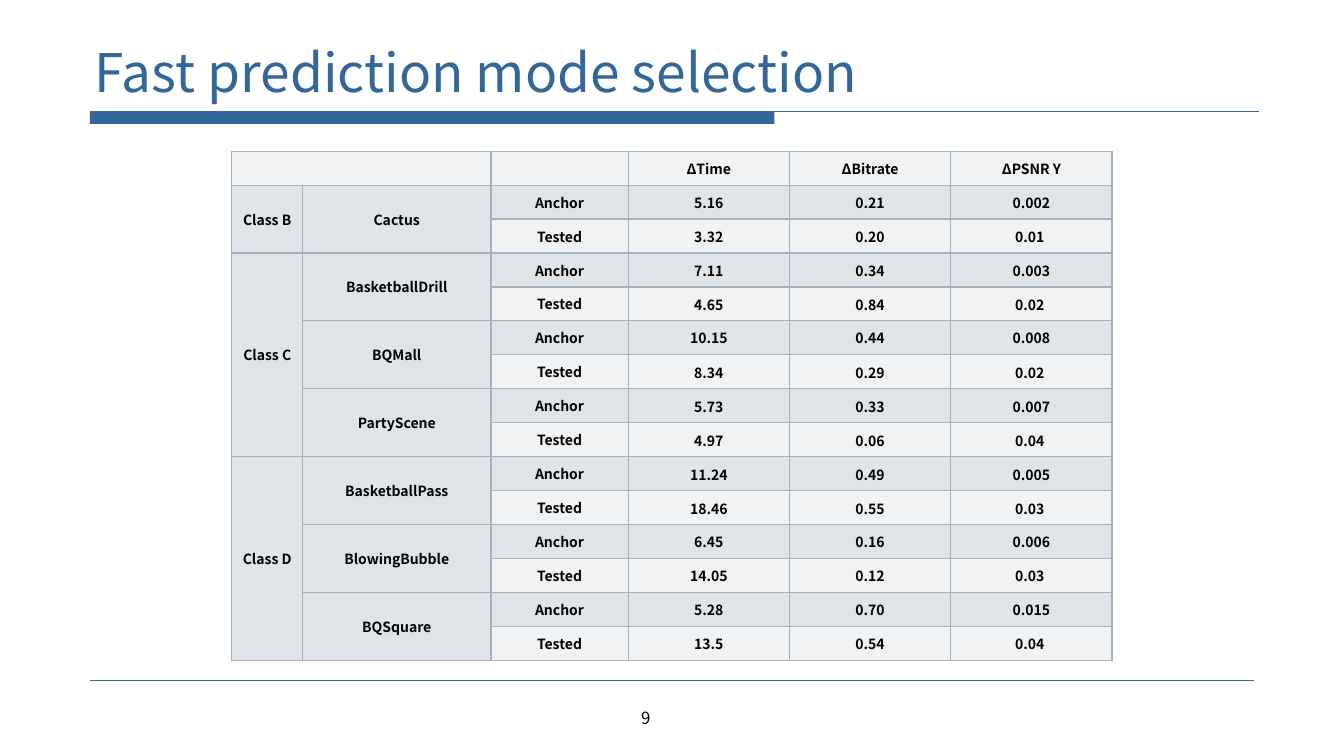
from lxml import etree
from pptx import Presentation
from pptx.dml.color import RGBColor
from pptx.enum.shapes import MSO_CONNECTOR, MSO_SHAPE
from pptx.enum.text import MSO_ANCHOR, PP_ALIGN
from pptx.oxml.ns import qn
from pptx.util import Inches, Pt

STRAIGHT = MSO_CONNECTOR.STRAIGHT
RECTANGLE = MSO_SHAPE.RECTANGLE
MIDDLE, BOTTOM, TOP = MSO_ANCHOR.MIDDLE, MSO_ANCHOR.BOTTOM, MSO_ANCHOR.TOP
CENTER = PP_ALIGN.CENTER
FONT = "Noto Sans CJK KR"
BLUE, BLACK, BORDER = "336699", "000000", "A3B2C1"
LIGHT, DARK = "F0F2F4", "E0E4E9"


def color(value):
    return RGBColor.from_string(value)


def style(para, size, value, bold=False):
    para.font.name = FONT
    para.font.size = Pt(size)
    para.font.bold = bold
    para.font.color.rgb = color(value)


deck = Presentation()
deck.slide_width, deck.slide_height = Inches(13.33), Inches(7.5)
page = deck.slides.add_slide(deck.slide_layouts[6])

bar = page.shapes.add_shape(RECTANGLE, Inches(0.89), Inches(1.11), Inches(6.79), Inches(0.12))
bar.shadow.inherit = False
bar.fill.solid()
bar.fill.fore_color.rgb = color(BLUE)
bar.line.fill.background()

for y, right, width in [(1.11, 12.49, 0.75), (6.75, 12.44, 0.25)]:
    rule = page.shapes.add_connector(STRAIGHT, Inches(0.89), Inches(y), Inches(right), Inches(y))
    rule.line.color.rgb = color(BLUE)
    rule.line.width = Pt(width)
    etree.SubElement(rule._element.spPr, qn("a:effectLst"))

for text, left, top, width, height, size, value, anchor in [
    ("9", 6.26, 6.97, 1.1, 0.52, 12, BLACK, TOP),
    ("Fast prediction mode selection", 0.84, 0.33, 11.67, 0.74, 38, BLUE, BOTTOM),
]:
    box = page.shapes.add_textbox(Inches(left), Inches(top), Inches(width), Inches(height))
    box.text_frame.word_wrap = True
    box.text_frame.vertical_anchor = anchor
    box.text_frame.text = text
    style(box.text_frame.paragraphs[0], size, value)

classes = [("Class B", 1), ("Class C", 3), ("Class D", 3)]
sequences = [
    ("Cactus", ["5.16", "0.21", "0.002"], ["3.32", "0.20", "0.01 "]),
    ("BasketballDrill", ["7.11", "0.34", "0.003"], ["4.65", "0.84", "0.02 "]),
    ("BQMall", ["10.15", "0.44", "0.008"], ["8.34", "0.29", "0.02 "]),
    ("PartyScene", ["5.73", "0.33", "0.007"], ["4.97", "0.06", "0.04 "]),
    ("BasketballPass", ["11.24", "0.49", "0.005"], ["18.46", "0.55", "0.03 "]),
    ("BlowingBubble", ["6.45", "0.16", "0.006"], ["14.05", "0.12", "0.03 "]),
    ("BQSquare", ["5.28", "0.70", "0.015"], ["13.5", "0.54", "0.04 "]),
]
rows = [["", "", "", "ΔTime", "ΔBitrate", "ΔPSNR Y"]]
for name, anchor_values, tested_values in sequences:
    rows.append(["", name, "Anchor"] + anchor_values)
    rows.append(["", "", "Tested"] + tested_values)

frame = page.shapes.add_table(len(rows), 6, Inches(2.3), Inches(1.5), Inches(8.73), Inches(5.05))
table = frame.table
table.first_row = table.horz_banding = False
for column, width in zip(table.columns, [0.7, 1.87, 1.36, 1.6, 1.6, 1.6]):
    column.width = Inches(width)

table.cell(0, 0).merge(table.cell(0, 1))
first = 1
for name, count in classes:
    rows[first][0] = name
    table.cell(first, 0).merge(table.cell(first + 2 * count - 1, 0))
    first += 2 * count
for first in range(1, len(rows), 2):
    table.cell(first, 1).merge(table.cell(first + 1, 1))

for r, row in enumerate(rows):
    for c, text in enumerate(row):
        cell = table.cell(r, c)
        cell.vertical_anchor = MIDDLE
        if c > 2 and r > 0 and (r % 2 == 0 or r >= 7):
            cell.margin_left = cell.margin_right = cell.margin_top = Inches(0.01)
            cell.margin_bottom = 0
        para = cell.text_frame.paragraphs[0]
        para.alignment = CENTER
        style(para, 10, BLACK, True)
        if text:
            para.add_run().text = text
        etree.SubElement(para._p, qn("a:endParaRPr"), sz="1000")
        for side in ("a:lnL", "a:lnR", "a:lnT", "a:lnB"):
            edge = etree.SubElement(cell._tc.get_or_add_tcPr(), qn(side), w="12700")
            paint = etree.SubElement(edge, qn("a:solidFill"))
            etree.SubElement(paint, qn("a:srgbClr"), val=BORDER)
        shaded = r > 0 and (c < 2 or r % 2 == 1)
        cell.fill.solid()
        cell.fill.fore_color.rgb = color(DARK if shaded else LIGHT)

deck.save("out.pptx")
